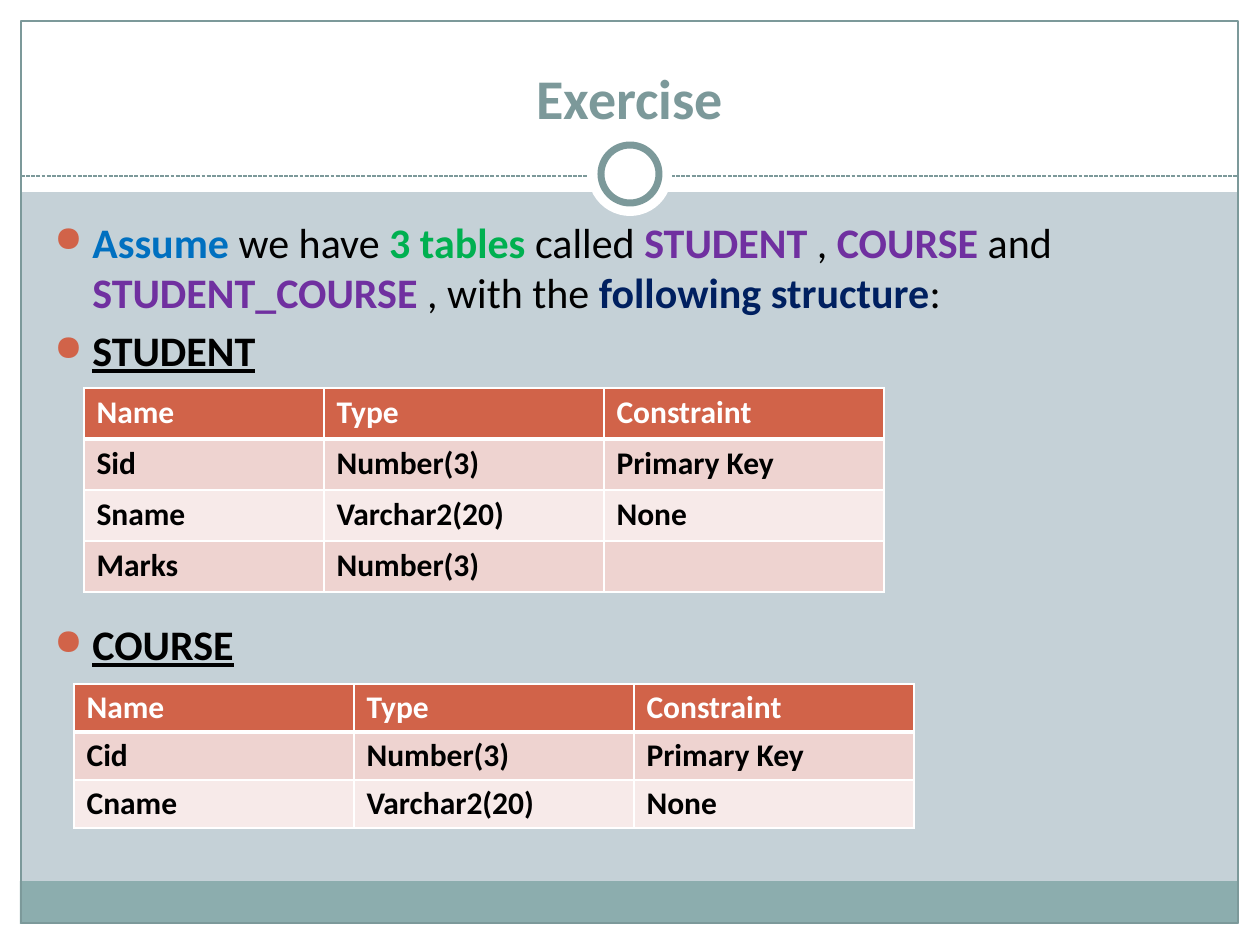
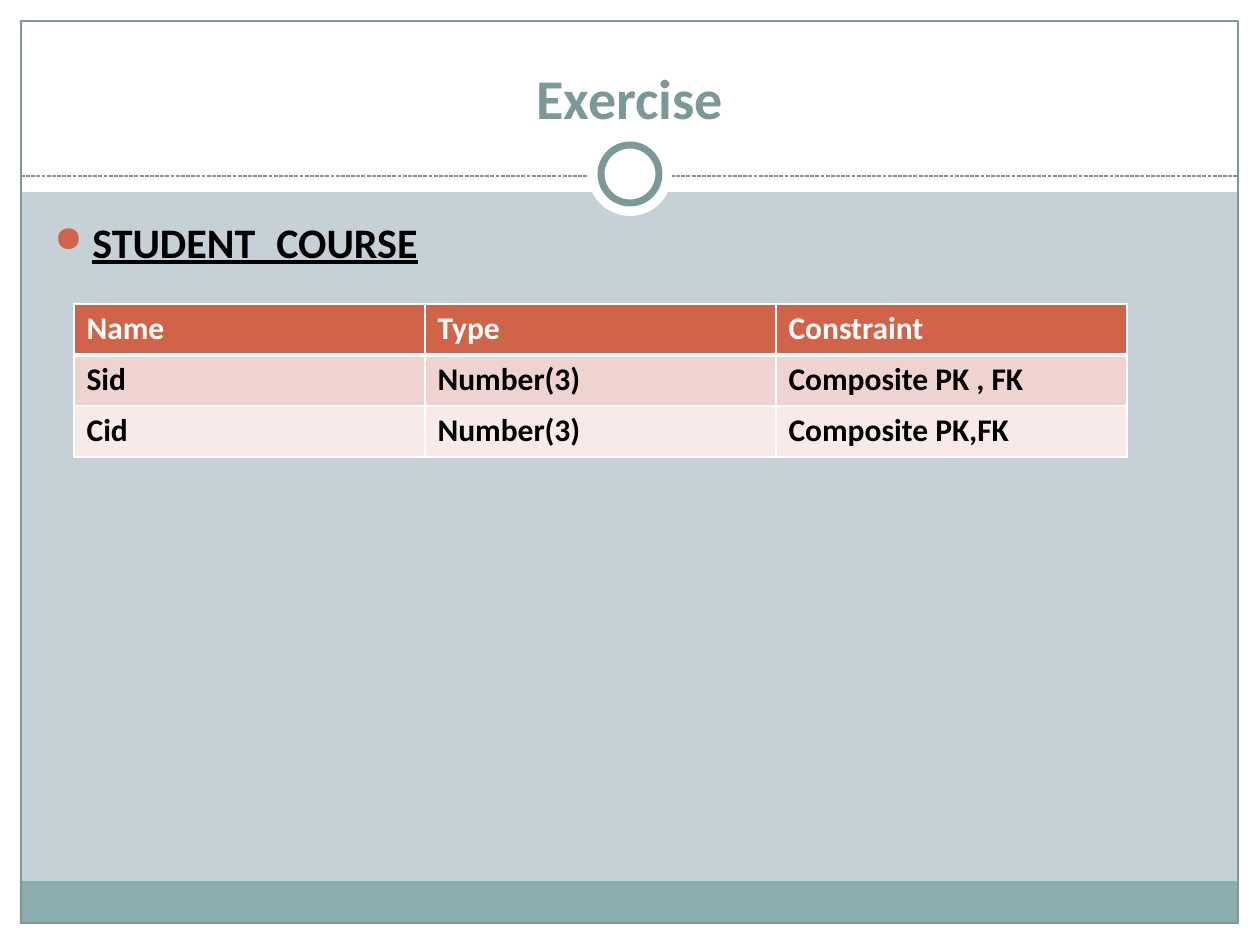
from dataclasses import dataclass

from pptx import Presentation
from pptx import util as u
from pptx.dml.color import RGBColor
from pptx.enum import dml, shapes, text
from pptx.oxml import ns
from lxml import etree

PX = u.Inches(1) / 126  # one px in EMU


def px(*lengths):
    return [u.Emu(round(n * PX)) for n in lengths]


@dataclass(frozen=True)
class Theme:
    font: str = "Calibri"
    title_size: int = 32
    body_size: int = 24
    cell_size: int = 18
    paragraph_gap: float = 4.5
    page: str = "C5D1D7"
    white: str = "FFFFFF"
    black: str = "000000"
    accent: str = "7C999A"
    footer: str = "8CADAE"
    orange: str = "D16349"
    row_dark: str = "EED3D0"
    row_light: str = "F7EAE9"
    blue: str = "0070C0"
    green: str = "00B050"
    purple: str = "7030A0"
    navy: str = "002060"


class Deck:
    """Holds the theme and the slide being built."""

    def __init__(self, theme):
        self.theme = theme
        self.prs = Presentation()
        self.prs.slide_width, self.prs.slide_height = px(1260, 945)
        self.fill(self.prs.slide_master.background, theme.page)

    def fill(self, target, color):
        target.fill.solid()
        target.fill.fore_color.rgb = RGBColor.from_string(color)

    def format_run(self, run, size, color, **extra):
        values = {"name": self.theme.font, "size": u.Pt(size), **extra}
        for key, value in values.items():
            setattr(run.font, key, value)
        run.font.color.rgb = RGBColor.from_string(color)

    def new_slide(self, heading):
        layout = self.prs.slide_layouts.get_by_name("Title Only")
        self.slide = self.prs.slides.add_slide(layout)
        self.frame()
        self.title(heading)

    def shape(self, kind, box, color=None, line=None, width=0):
        item = self.slide.shapes.add_shape(kind, *px(*box))
        item.shadow.inherit = False
        if color:
            self.fill(item, color)
        else:
            item.fill.background()
        if line:
            item.line.color.rgb = RGBColor.from_string(line)
            item.line.width = u.Pt(width)
        else:
            item.line.fill.background()

    def dashed_line(self, x1, y1, x2, y2):
        divider = self.slide.shapes.add_connector(
            shapes.MSO_CONNECTOR.STRAIGHT, *px(x1, y1, x2, y2))
        divider.line.color.rgb = RGBColor.from_string(self.theme.accent)
        divider.line.width = u.Pt(0.75)
        divider.line.dash_style = dml.MSO_LINE.SQUARE_DOT
        etree.SubElement(divider._element.spPr, ns.qn("a:effectLst"))

    def frame(self):
        t = self.theme
        rect, oval = shapes.MSO_SHAPE.RECTANGLE, shapes.MSO_SHAPE.OVAL
        # White margins and title band
        for margin in ((0, 924, 1260, 21), (0, 0, 1260, 192),
                       (0, 0, 21, 945), (1239, 0, 21, 945)):
            self.shape(rect, margin, t.white)
        # Footer band, outline and divider
        self.shape(rect, (20, 881, 1218, 43), t.footer)
        self.shape(rect, (21, 21, 1217, 902), line=t.accent, width=0.75)
        self.dashed_line(21, 176, 1239, 176)
        # Ring on the divider
        self.shape(oval, (588, 132, 84, 84), t.white)
        self.shape(oval, (601, 145, 58, 58), t.white, t.accent, 4)

    def title(self, heading):
        title = self.slide.shapes.title
        self.slide.shapes._spTree.append(title._element)  # above the band
        title.left, title.top, title.width, title.height = px(42, 32, 1176, 105)
        title.text_frame.vertical_anchor = text.MSO_ANCHOR.BOTTOM
        paragraph = title.text_frame.paragraphs[0]
        paragraph.alignment = text.PP_ALIGN.CENTER
        run = paragraph.add_run()
        run.text = heading
        self.format_run(run, self.theme.title_size, self.theme.accent, bold=True)

    def bullet(self, paragraph):
        props = paragraph._p.get_or_add_pPr()
        indent = px(38)[0]
        props.set("marL", str(indent))
        props.set("indent", str(-indent))
        color = etree.SubElement(props, ns.qn("a:buClr"))
        etree.SubElement(color, ns.qn("a:srgbClr"), val=self.theme.orange)
        etree.SubElement(props, ns.qn("a:buSzPct"), val="85000")
        etree.SubElement(props, ns.qn("a:buChar"), char="●")

    def bullets(self, items):
        """Each item is (space before in points, runs); a run is (words, format)."""
        body = self.slide.shapes.add_textbox(*px(42, 210, 1172, 630)).text_frame
        body.word_wrap = True
        for index, (gap, runs) in enumerate(items):
            paragraph = body.add_paragraph() if index else body.paragraphs[0]
            self.bullet(paragraph)
            paragraph.space_before = u.Pt(gap)
            for words, look in runs:
                run = paragraph.add_run()
                run.text = words
                self.format_run(run, self.theme.body_size, **look)

    def borders(self, cell, **widths):
        props = cell._tc.get_or_add_tcPr()
        for place, side in enumerate("LRTB"):
            edge = etree.Element(ns.qn("a:ln" + side),
                                 w=str(u.Pt(widths.get(side, 1))))
            paint = etree.SubElement(edge, ns.qn("a:solidFill"))
            etree.SubElement(paint, ns.qn("a:srgbClr"), val=self.theme.white)
            props.insert(place, edge)

    def structure(self, left, top, columns, row_height, fields, margin=6):
        """Table of a relation's fields: name, type and constraint."""
        t = self.theme
        rows = [("Name", "Type", "Constraint"), *fields]
        grid = self.slide.shapes.add_table(
            len(rows), len(columns),
            *px(left, top, sum(columns), row_height * len(rows))).table
        for column, width in zip(grid.columns, px(*columns)):
            column.width = width
        for r, row in enumerate(rows):
            grid.rows[r].height = px(row_height)[0]
            band = (t.row_dark if r % 2 else t.row_light) if r else t.orange
            for c, words in enumerate(row):
                cell = grid.cell(r, c)
                cell.margin_top = cell.margin_bottom = px(margin)[0]
                self.fill(cell, band)
                self.borders(cell, T=3 if r == 1 else 1, B=1 if r else 3)
                if words:
                    run = cell.text_frame.paragraphs[0].add_run()
                    run.text = words
                    self.format_run(run, t.cell_size,
                                    t.black if r else t.white, bold=True)


def main():
    theme = Theme()
    deck = Deck(theme)
    plain = {"color": theme.black}
    relation = {"color": theme.black, "bold": True, "underline": True}

    def strong(color):
        return {"color": color, "bold": True}

    # Slide 1: STUDENT and COURSE
    deck.new_slide("Exercise")
    deck.bullets([
        (0, [("Assume", strong(theme.blue)), (" we have ", plain),
             ("3 tables ", strong(theme.green)), ("called ", plain),
             ("STUDENT", strong(theme.purple)), (" , ", plain),
             ("COURSE", strong(theme.purple)), (" and ", plain),
             ("STUDENT_COURSE", strong(theme.purple)), (" , with the ", plain),
             ("following structure", strong(theme.navy)), (":", plain)]),
        (theme.paragraph_gap, [("STUDENT", relation)]),
        (139, [("COURSE", relation)]),  # leaves room for the STUDENT table
    ])
    deck.structure(84, 388, (240, 280, 280), 51, [
        ("Sid", "Number(3)", "Primary Key"),
        ("Sname", "Varchar2(20)", "None"),
        ("Marks", "Number(3)", ""),
    ])
    deck.structure(74, 684, (280, 280, 280), 48, [
        ("Cid", "Number(3)", "Primary Key"),
        ("Cname", "Varchar2(20)", "None"),
    ], margin=5)

    # Slide 2: STUDENT_COURSE
    deck.new_slide("Exercise")
    deck.bullets([(0, [("STUDENT_COURSE", relation)])])
    deck.structure(74, 304, (351, 351, 351), 51, [
        ("Sid", "Number(3)", "Composite PK , FK"),
        ("Cid", "Number(3)", "Composite PK,FK"),
    ])

    deck.prs.save("out.pptx")


if __name__ == "__main__":
    main()
